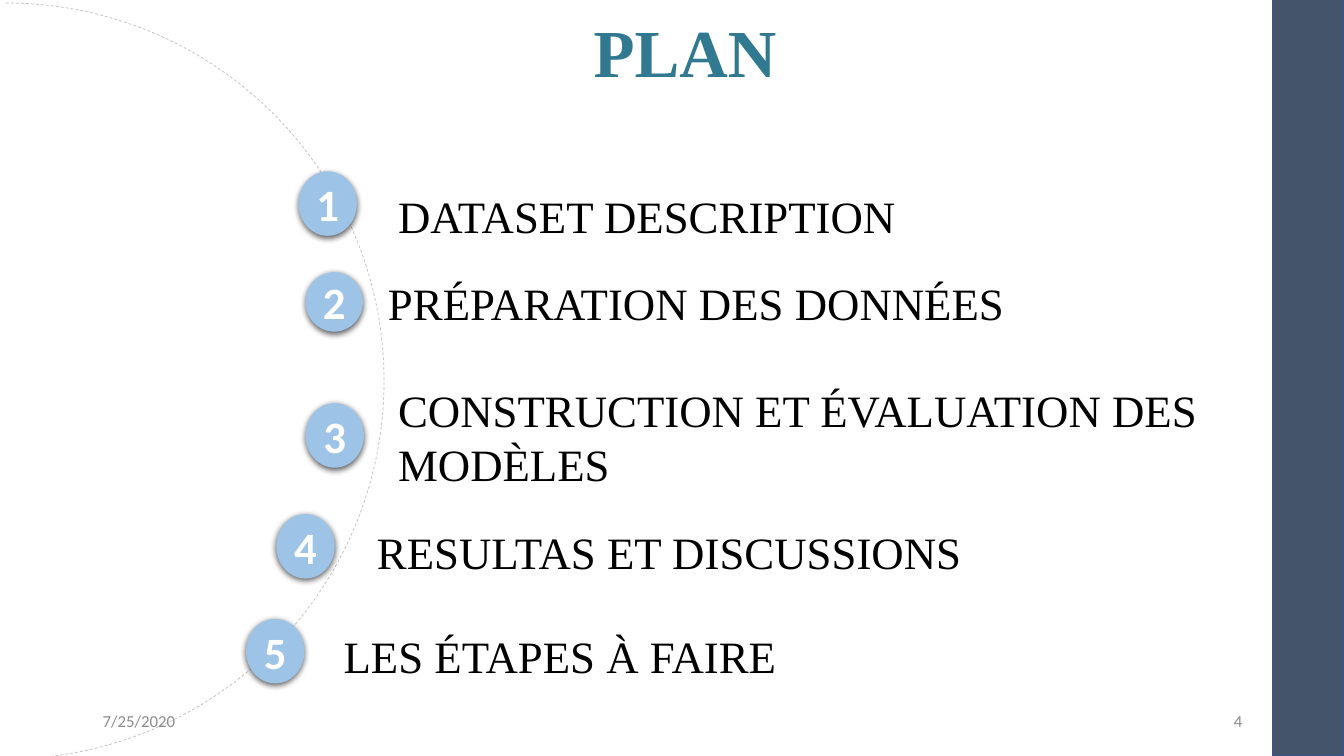
from lxml import etree
from pptx import Presentation
from pptx.dml.color import RGBColor
from pptx.enum.dml import MSO_LINE
from pptx.enum.shapes import MSO_SHAPE
from pptx.enum.text import MSO_ANCHOR, PP_ALIGN
from pptx.oxml.ns import qn
from pptx.util import Emu, Pt

ARC, OVAL, RECTANGLE = MSO_SHAPE.ARC, MSO_SHAPE.OVAL, MSO_SHAPE.RECTANGLE
TOP, MIDDLE = MSO_ANCHOR.TOP, MSO_ANCHOR.MIDDLE
LEFT, CENTER, RIGHT = PP_ALIGN.LEFT, PP_ALIGN.CENTER, PP_ALIGN.RIGHT
DASH = MSO_LINE.DASH

SERIF, SANS = "Times New Roman", "Calibri"
COLORS = {
    "title": "307990",
    "text": "000000",
    "footer": "8C8C8C",
    "badge": "9DC3E6",
    "badge_text": "FFFFFF",
    "arc": "BFBFBF",
    "band": "44546A",
    "band_line": "325491",
    "shadow": "000000",
}

SLIDE = (1333, 750)
TITLE = ("PLAN", (579, -4, 510, 125))
ARC_AREA = (-369, 3, 750, 750)
ARC_ANGLES = (162, 53.71)
BAND_AREA = (1262, -4, 71, 754)
SECTIONS = [
    ("DATASET DESCRIPTION", (385, 129, 518, 101), 2, (296, 170, 58, 64)),
    ("PRÉPARATION DES DONNÉES", (375, 269, 737, 64), 1, (303, 270, 57, 59)),
    ("CONSTRUCTION ET ÉVALUATION DES MODÈLES", (385, 375, 936, 118), 1, (303, 400, 58, 64)),
    ("RESULTAS ET DISCUSSIONS", (364, 516, 605, 64), 1, (274, 510, 58, 64)),
    ("LES ÉTAPES À FAIRE", (331, 619, 855, 64), 1, (244, 614, 58, 64)),
]
FOOTERS = [
    ("7/25/2020", (92, 695, 300, 40), LEFT),
    ("4", (942, 695, 300, 40), RIGHT),
]

PX = 9144


def emu(lengths):
    return [Emu(length * PX) for length in lengths]


def color(name):
    return RGBColor.from_string(COLORS[name])


def write(shape, text, font, size, ink, bold=False, align=LEFT, anchor=TOP, spacing=1):
    frame = shape.text_frame
    frame.word_wrap = True
    frame.vertical_anchor = anchor
    para = frame.paragraphs[0]
    para.text = text
    para.alignment = align
    para.line_spacing = spacing
    para.font.name = font
    para.font.size = Pt(size)
    para.font.bold = bold
    para.font.color.rgb = color(ink)


def add_text(page, area, *args, **options):
    write(page.shapes.add_textbox(*emu(area)), *args, **options)


def add_flat_shape(page, kind, area):
    shape = page.shapes.add_shape(kind, *emu(area))
    shape.shadow.inherit = False
    return shape


def add_badge(page, number, area):
    badge = add_flat_shape(page, OVAL, area)
    badge.fill.solid()
    badge.fill.fore_color.rgb = color("badge")
    badge.line.fill.background()
    effects = badge._element.spPr.find(qn("a:effectLst"))
    shadow = etree.SubElement(effects, qn("a:outerShdw"), blurRad="57150",
                              dist="19050", dir="5400000", algn="ctr", rotWithShape="0")
    ink = etree.SubElement(shadow, qn("a:srgbClr"), val=COLORS["shadow"])
    etree.SubElement(ink, qn("a:alpha"), val="63000")
    frame = badge.text_frame
    frame.margin_left = frame.margin_right = frame.margin_top = frame.margin_bottom = 0
    write(badge, str(number), SANS, 32, "badge_text", bold=True, align=CENTER, anchor=MIDDLE)


def main():
    deck = Presentation()
    deck.slide_width, deck.slide_height = emu(SLIDE)
    page = deck.slides.add_slide(deck.slide_layouts[6])

    title, title_area = TITLE
    add_text(page, title_area, title, SERIF, 48, "title", bold=True, anchor=MIDDLE, spacing=0.75)

    arc = add_flat_shape(page, ARC, ARC_AREA)
    for index, angle in enumerate(ARC_ANGLES):
        arc.adjustments[index] = angle
    arc.fill.background()
    arc.line.color.rgb = color("arc")
    arc.line.width = Pt(0.5)
    arc.line.dash_style = DASH

    band = add_flat_shape(page, RECTANGLE, BAND_AREA)
    band.fill.solid()
    band.fill.fore_color.rgb = color("band")
    band.line.color.rgb = color("band_line")
    band.line.width = Pt(1)

    for number, (text, text_area, spacing, badge_area) in enumerate(SECTIONS, 1):
        add_text(page, text_area, text, SERIF, 32, "text", spacing=spacing)
        add_badge(page, number, badge_area)

    for text, area, align in FOOTERS:
        add_text(page, area, text, SANS, 12, "footer", align=align, anchor=MIDDLE)

    deck.save("out.pptx")


if __name__ == "__main__":
    main()
